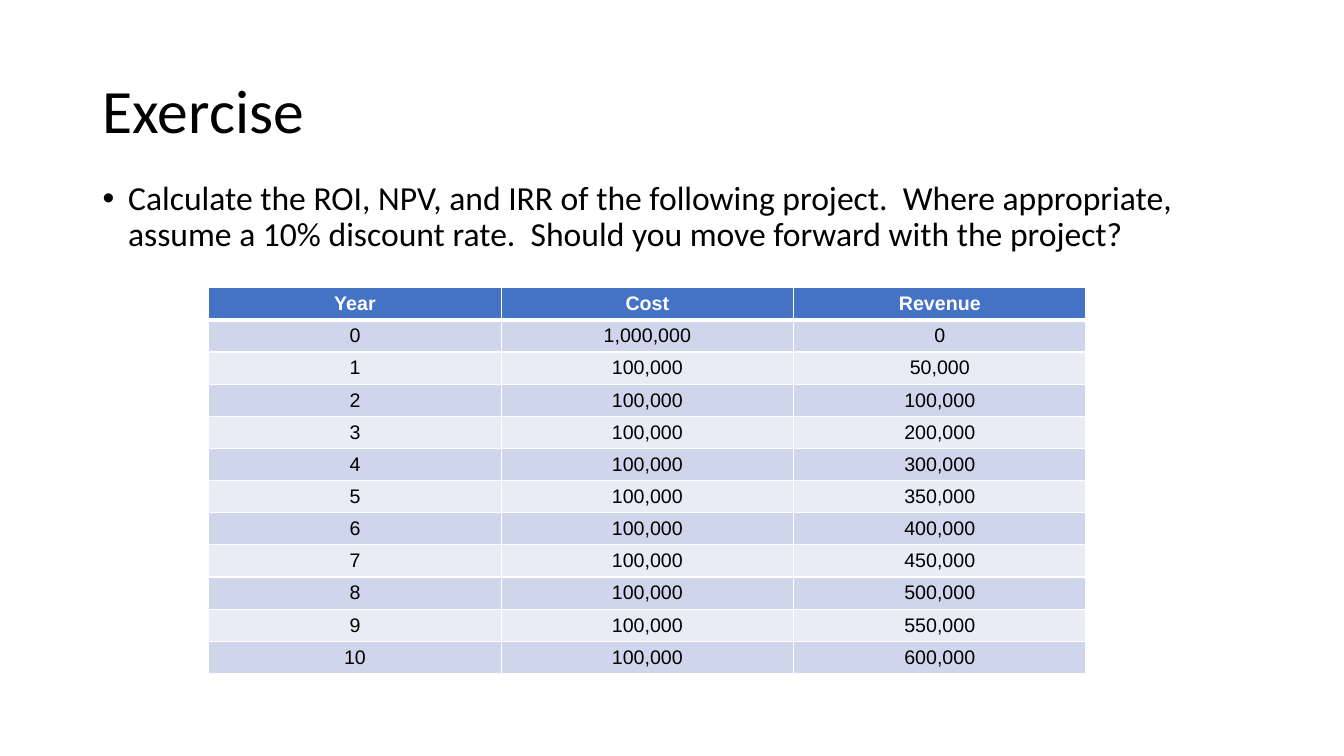
"""Build the Exercise slide: a project question above a cost and revenue table."""
from lxml.etree import SubElement
from pptx import Presentation
from pptx.dml.color import RGBColor
from pptx.enum.text import MSO_ANCHOR as Anchor, PP_ALIGN as Align
from pptx.oxml.ns import qn
from pptx.util import Cm, Pt

BLACK = RGBColor(0x00, 0x00, 0x00)
WHITE = RGBColor(0xFF, 0xFF, 0xFF)
HEADER_BLUE = RGBColor(0x44, 0x72, 0xC4)
BANDS = (RGBColor(0xCF, 0xD5, 0xEA), RGBColor(0xE9, 0xEB, 0xF5))

HEADINGS = ("Year", "Cost", "Revenue")
COSTS = [1_000_000] + [100_000] * 10
REVENUES = [0, 50_000, 100_000, *range(200_000, 301_000, 100_000),
            *range(350_000, 601_000, 50_000)]


class ExerciseSlide:
    """Hold the style and the slide, and draw each kind of element."""

    text_font = "Calibri"
    table_font = "Arial"
    left, width = Cm(2.34), Cm(29.21)

    def __init__(self, presentation):
        self.slide = presentation.slides.add_slide(presentation.slide_layouts[6])

    def add_run(self, paragraph, text, font, size, color=BLACK, bold=False):
        run = paragraph.add_run()
        run.text = text
        run.font.name, run.font.size, run.font.bold = font, Pt(size), bold
        run.font.color.rgb = color

    def add_text(self, text, top, height, size, anchor=Anchor.TOP):
        shape = self.slide.shapes.add_textbox(self.left, top, self.width, height)
        frame = shape.text_frame
        frame.word_wrap = True
        frame.vertical_anchor = anchor
        paragraph = frame.paragraphs[0]
        paragraph.line_spacing = 0.9
        self.add_run(paragraph, text, self.text_font, size)
        return paragraph

    def add_bullet(self, text, top, height, size):
        paragraph = self.add_text(text, top, height, size)
        paragraph.space_before = Pt(10)
        properties = paragraph._p.get_or_add_pPr()
        indent = Cm(0.64)
        properties.set("marL", str(indent))
        properties.set("indent", str(-indent))
        SubElement(properties, qn("a:buFont"), typeface="Arial")
        SubElement(properties, qn("a:buChar"), char="•")

    def add_borders(self, cell, row):
        properties = cell._tc.get_or_add_tcPr()
        widths = {"L": 1, "R": 1, "T": 3 if row == 1 else 1, "B": 3 if row == 0 else 1}
        for side, width in widths.items():
            line = SubElement(properties, qn(f"a:ln{side}"), w=str(Pt(width)))
            fill = SubElement(line, qn("a:solidFill"))
            SubElement(fill, qn("a:srgbClr"), val=str(WHITE))

    def add_table(self, rows, left, top, column_width, row_height):
        columns = len(rows[0])
        table = self.slide.shapes.add_table(
            len(rows), columns, left, top,
            column_width * columns, row_height * len(rows)).table
        for column in table.columns:
            column.width = column_width
        for row, values in enumerate(rows):
            table.rows[row].height = row_height
            for column, text in enumerate(values):
                self.fill_cell(table.cell(row, column), text, row)

    def fill_cell(self, cell, text, row):
        header = row == 0
        self.add_borders(cell, row)
        cell.fill.solid()
        cell.fill.fore_color.rgb = HEADER_BLUE if header else BANDS[(row - 1) % 2]
        cell.margin_top = cell.margin_bottom = Cm(0.1)
        cell.vertical_anchor = Anchor.MIDDLE
        paragraph = cell.text_frame.paragraphs[0]
        paragraph.alignment = Align.CENTER
        self.add_run(paragraph, text, self.table_font, 14,
                     WHITE if header else BLACK, header)


def main():
    presentation = Presentation()
    presentation.slide_width, presentation.slide_height = Cm(33.87), Cm(19.05)
    exercise = ExerciseSlide(presentation)
    exercise.add_text("Exercise", Cm(1.02), Cm(3.68), 44, Anchor.MIDDLE)
    exercise.add_bullet(
        "Calculate the ROI, NPV, and IRR of the following project.  Where appropriate, "
        "assume a 10% discount rate.  Should you move forward with the project?",
        Cm(4.45), Cm(12.09), 24)
    rows = [HEADINGS] + [
        (str(year), f"{cost:,}", f"{revenue:,}")
        for year, (cost, revenue) in enumerate(zip(COSTS, REVENUES))]
    exercise.add_table(rows, Cm(5.26), Cm(7.25), Cm(7.37), Cm(0.81))
    presentation.save("out.pptx")


if __name__ == "__main__":
    main()
